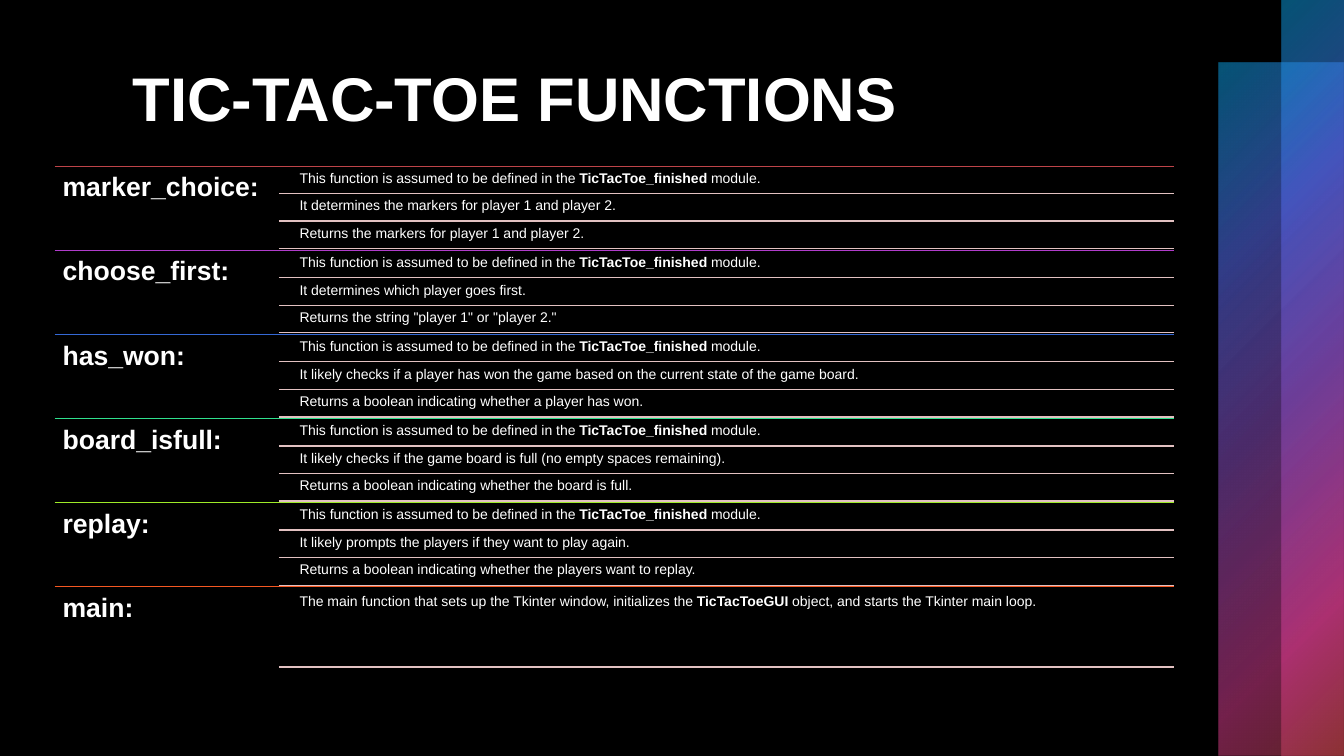
from dataclasses import dataclass

from lxml import etree
from pptx import Presentation
from pptx.dml.color import RGBColor
from pptx.enum.shapes import MSO_CONNECTOR, MSO_SHAPE
from pptx.enum.text import MSO_ANCHOR
from pptx.oxml import parse_xml
from pptx.oxml.ns import nsdecls, qn
from pptx.slide import Slide
from pptx.util import Cm, Pt

STRAIGHT = MSO_CONNECTOR.STRAIGHT
RECTANGLE = MSO_SHAPE.RECTANGLE
TOP = MSO_ANCHOR.TOP

COLORS = {
    "background": "000000", "text": "FFFFFF", "item_rule": "E2C1C1",
    "red": "BE4449", "purple": "B03CCA", "blue": "3569D5",
    "green": "2FE08E", "lime": "9EEB28", "orange": "F55822",
    "bar_sky": "0BA5E8", "bar_blue": "5066E1", "bar_violet": "894EC0",
    "bar_pink": "E54196",
}
# position %, colour, opacity %
BAR_STOPS = [(0, "bar_sky", 50), (25, "bar_blue", 60), (50, "bar_violet", 55),
             (81, "bar_pink", 50), (99, "red", 50)]

# Lengths in centimetres
PAGE_WIDTH, PAGE_HEIGHT = 33.87, 19.05
LIST_LEFT, ITEM_RULE_LEFT, ITEM_LEFT, LIST_RIGHT = 1.38, 7.03, 7.45, 29.59
LIST_TOP, SECTION_HEIGHT = 4.18, 2.12
GAP_RATIO = 0.05  # gap between items as a share of the item height

MODULE_NOTE = "This function is assumed to be defined in the **TicTacToe_finished** module."


@dataclass
class Section:
    name: str
    color: str
    items: list[str]


SECTIONS = [
    Section("marker_choice:", "red", [
        MODULE_NOTE,
        "It determines the markers for player 1 and player 2.",
        "Returns the markers for player 1 and player 2."]),
    Section("choose_first:", "purple", [
        MODULE_NOTE,
        "It determines which player goes first.",
        'Returns the string "player 1" or "player 2."']),
    Section("has_won:", "blue", [
        MODULE_NOTE,
        "It likely checks if a player has won the game based on the current state of the game board.",
        "Returns a boolean indicating whether a player has won."]),
    Section("board_isfull:", "green", [
        MODULE_NOTE,
        "It likely checks if the game board is full (no empty spaces remaining).",
        "Returns a boolean indicating whether the board is full."]),
    Section("replay:", "lime", [
        MODULE_NOTE,
        "It likely prompts the players if they want to play again.",
        "Returns a boolean indicating whether the players want to replay."]),
    Section("main:", "orange", [
        "The main function that sets up the Tkinter window, initializes the "
        "**TicTacToeGUI** object, and starts the Tkinter main loop."]),
]


def rgb(name: str) -> RGBColor:
    return RGBColor.from_string(COLORS[name])


def add_text(page: Slide, text: str, left: float, top: float, width: float,
             height: float, size: float, inset: float, spacing: float = 0.9) -> None:
    """Add a text box; parts between double asterisks are bold."""
    box = page.shapes.add_textbox(Cm(left), Cm(top), Cm(width), Cm(height))
    frame = box.text_frame
    frame.word_wrap = True
    frame.vertical_anchor = TOP
    frame.margin_left = frame.margin_right = Cm(inset)
    frame.margin_top = frame.margin_bottom = Cm(inset)
    para = frame.paragraphs[0]
    para.line_spacing = spacing
    para.font.name = "Arial"
    para.font.size = Pt(size)
    para.font.color.rgb = rgb("text")
    for index, part in enumerate(text.split("**")):
        if part:
            span = para.add_run()
            span.text = part
            span.font.bold = index % 2 == 1


def add_rule(page: Slide, left: float, top: float, color: str, weight: float) -> None:
    rule = page.shapes.add_connector(STRAIGHT, Cm(left), Cm(top), Cm(LIST_RIGHT), Cm(top))
    rule.line.color.rgb = rgb(color)
    rule.line.width = Pt(weight)
    etree.SubElement(rule._element.spPr, qn("a:effectLst"))


def add_bar(page: Slide, width: float, top: float) -> None:
    """Add a translucent gradient bar along the right edge, down to the bottom."""
    bar = page.shapes.add_shape(RECTANGLE, Cm(PAGE_WIDTH - width), Cm(top),
                                Cm(width), Cm(PAGE_HEIGHT - top))
    bar.shadow.inherit = False
    bar.line.fill.background()
    bar.fill.background()
    stops = "".join(
        f'<a:gs pos="{position * 1000}"><a:srgbClr val="{COLORS[color]}">'
        f'<a:alpha val="{opacity * 1000}"/></a:srgbClr></a:gs>'
        for position, color, opacity in BAR_STOPS)
    gradient = parse_xml(
        f'<a:gradFill {nsdecls("a")} rotWithShape="1"><a:gsLst>{stops}</a:gsLst>'
        '<a:path path="circle"><a:fillToRect r="100000" b="100000"/></a:path></a:gradFill>')
    properties = bar._element.spPr
    properties.replace(properties.find(qn("a:noFill")), gradient)


def add_section(page: Slide, section: Section, top: float) -> None:
    add_rule(page, LIST_LEFT, top, section.color, 0.5)
    add_text(page, f"**{section.name}**", LIST_LEFT, top,
             ITEM_RULE_LEFT - LIST_LEFT, SECTION_HEIGHT, 19, 0.2)
    count = len(section.items)
    height = SECTION_HEIGHT / (count + (count + 1) * GAP_RATIO)
    pitch = height * (1 + GAP_RATIO)
    for index, item in enumerate(section.items):
        bottom = top + (index + 1) * pitch
        add_text(page, item, ITEM_LEFT, bottom - height,
                 LIST_RIGHT - ITEM_LEFT, height, 10, 0.1)
        add_rule(page, ITEM_RULE_LEFT, bottom, "item_rule", 1)


def main() -> None:
    deck = Presentation()
    deck.slide_width, deck.slide_height = Cm(PAGE_WIDTH), Cm(PAGE_HEIGHT)
    page = deck.slides.add_slide(deck.slide_layouts[6])
    page.background.fill.solid()
    page.background.fill.fore_color.rgb = rgb("background")

    add_bar(page, width=3.16, top=1.58)
    add_bar(page, width=1.58, top=0)
    add_text(page, "**TIC-TAC-TOE FUNCTIONS**", 3.1, 1.27, 26.34, 4.32, 44, 0.25, 1)
    for index, section in enumerate(SECTIONS):
        add_section(page, section, LIST_TOP + index * SECTION_HEIGHT)
    deck.save("out.pptx")


if __name__ == "__main__":
    main()
